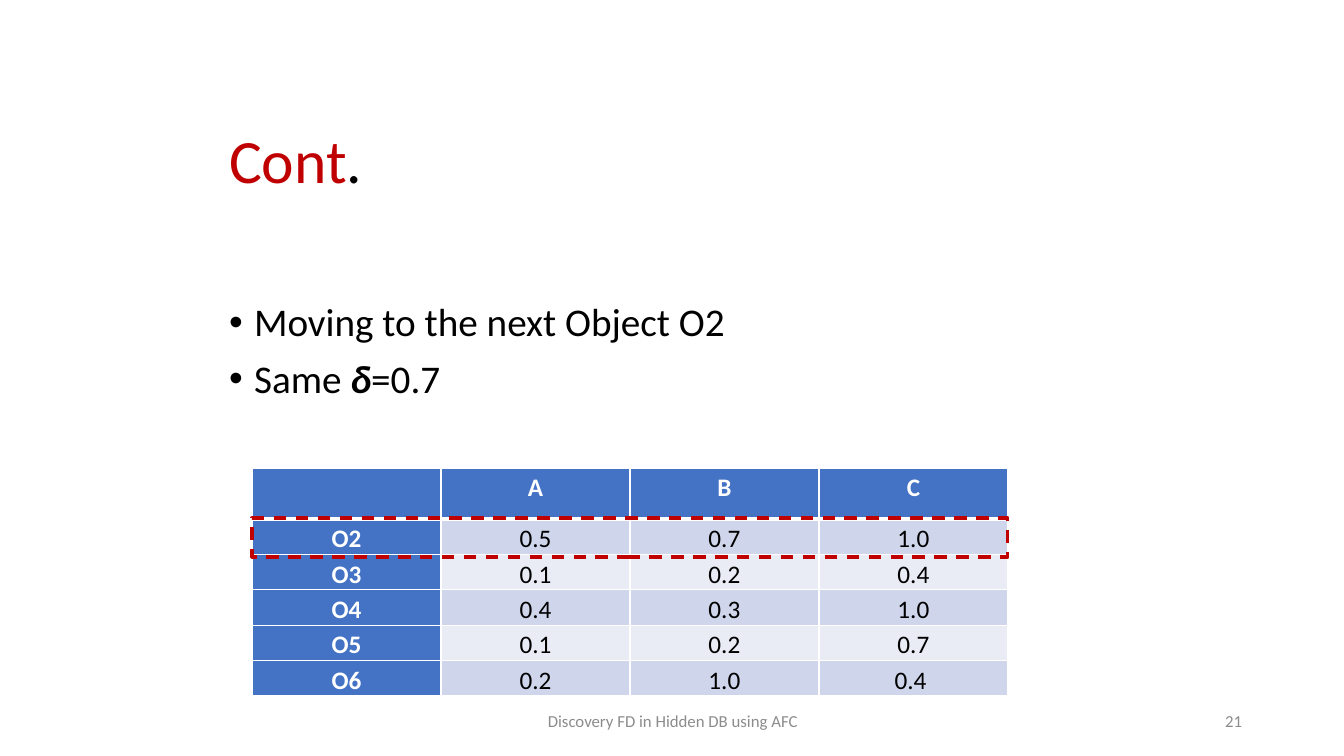
from lxml.etree import SubElement
from pptx import Presentation
from pptx.dml.color import RGBColor
from pptx.enum.dml import MSO_LINE
from pptx.enum.shapes import MSO_SHAPE
from pptx.enum.text import MSO_ANCHOR as Anchor, MSO_AUTO_SIZE as AutoSize, PP_ALIGN as Align
from pptx.oxml.ns import qn
from pptx.util import Pt

SCALE = 914400 / 100.8
RED = RGBColor(0xC0, 0x00, 0x00)
BLACK = RGBColor(0x00, 0x00, 0x00)
WHITE = RGBColor(0xFF, 0xFF, 0xFF)
GRAY = RGBColor(0x8C, 0x8C, 0x8C)
BLUE = RGBColor(0x44, 0x72, 0xC4)
BAND_DARK = RGBColor(0xCF, 0xD5, 0xEA)
BAND_LIGHT = RGBColor(0xE9, 0xEB, 0xF5)


def px(length):
    return round(length * SCALE)


class SlideBuilder:
    font = "Calibri"

    def __init__(self, slide):
        self.slide = slide

    def place(self, shape, box):
        shape.left, shape.top, shape.width, shape.height = map(px, box)

    def add_runs(self, paragraph, runs, size):
        for text, color, emphasis in runs:
            run = paragraph.add_run()
            run.text = text
            run.font.name, run.font.size = self.font, Pt(size)
            run.font.color.rgb = color
            run.font.bold = run.font.italic = emphasis

    def title(self, box, runs):
        heading = self.slide.shapes.title
        self.place(heading, box)
        frame = heading.text_frame
        frame.auto_size, frame.vertical_anchor = AutoSize.NONE, Anchor.MIDDLE
        line = frame.paragraphs[0]
        line.alignment, line.line_spacing = Align.LEFT, 0.9
        self.add_runs(line, runs, 44)

    def bullets(self, box, items):
        body = self.slide.placeholders[1]
        self.place(body, box)
        frame = body.text_frame
        frame.auto_size, frame.vertical_anchor = AutoSize.NONE, Anchor.TOP
        for index, runs in enumerate(items):
            item = frame.add_paragraph() if index else frame.paragraphs[0]
            item.line_spacing = 0.9
            item.space_before = Pt(10 if index else 0)
            properties = item._p.get_or_add_pPr()
            properties.set("marL", str(px(25)))
            properties.set("indent", str(px(-25)))
            SubElement(properties, qn("a:buFont"), typeface="Arial")
            SubElement(properties, qn("a:buChar"), char="•")
            self.add_runs(item, runs, 28)

    def cell_borders(self, cell, bottom):
        properties = cell._tc.get_or_add_tcPr()
        widths = {"a:lnL": 1, "a:lnR": 1, "a:lnT": 1, "a:lnB": bottom}
        for position, (side, width) in enumerate(widths.items()):
            border = SubElement(properties, qn(side), w=str(Pt(width)))
            fill = SubElement(border, qn("a:solidFill"))
            SubElement(fill, qn("a:srgbClr"), val=str(WHITE))
            properties.insert(position, border)

    def table(self, box, rows, heights):
        grid = self.slide.shapes.add_table(len(rows), len(rows[0]), *map(px, box)).table
        for r, (values, height) in enumerate(zip(rows, heights)):
            grid.rows[r].height = px(height)
            for c, value in enumerate(values):
                cell = grid.cell(r, c)
                heading = r == 0 or c == 0
                cell.margin_left = cell.margin_right = px(7)
                cell.margin_top = cell.margin_bottom = 0
                cell.fill.solid()
                band = BAND_DARK if r % 2 else BAND_LIGHT
                cell.fill.fore_color.rgb = BLUE if heading else band
                self.cell_borders(cell, 1 if r else 3)
                cell.text_frame.text = value
                line = cell.text_frame.paragraphs[0]
                line.alignment, line.line_spacing = Align.CENTER, 1.15
                line.font.size = Pt(18)
                for run in line.runs:
                    run.font.name, run.font.size = self.font, Pt(18)
                    run.font.bold = heading
                    run.font.color.rgb = WHITE if heading else BLACK

    def dashed_frame(self, box):
        frame = self.slide.shapes.add_shape(MSO_SHAPE.RECTANGLE, *map(px, box))
        frame.shadow.inherit = False
        frame.fill.background()
        frame.line.color.rgb = RED
        frame.line.width = Pt(2.25)
        frame.line.dash_style = MSO_LINE.DASH

    def footer(self, box, text, alignment):
        frame = self.slide.shapes.add_textbox(*map(px, box)).text_frame
        frame.word_wrap = True
        frame.vertical_anchor = Anchor.MIDDLE
        frame.paragraphs[0].alignment = alignment
        self.add_runs(frame.paragraphs[0], [(text, GRAY, False)], 12)


deck = Presentation()
deck.slide_width, deck.slide_height = px(1344), px(756)
page = SlideBuilder(deck.slides.add_slide(deck.slide_layouts[1]))

page.title((219, 101, 718, 126), [("Cont", RED, False), (".", BLACK, False)])
page.bullets((219, 298, 907, 406), [
    [("Moving to the next Object O2", BLACK, False)],
    [("Same ", BLACK, False), ("δ", BLACK, True), ("=0.7", BLACK, False)],
])

objects = [
    ("", "A", "B", "C"),
    ("O2", "0.5", "0.7", "1.0"),
    ("O3", "0.1", "0.2", "0.4"),
    ("O4", "0.4", "0.3", "1.0"),
    ("O5", "0.1", "0.2", "0.7"),
    ("O6", "0.2", "1.0", "0.4 "),
]
page.table((252, 468, 756, 226), objects, [51] + [35] * 5)
page.dashed_frame((252, 518, 756, 39))

page.footer((446, 701, 454, 40), "Discovery FD in Hidden DB using AFC", Align.CENTER)
page.footer((950, 701, 302, 40), "21", Align.RIGHT)

deck.save("out.pptx")
